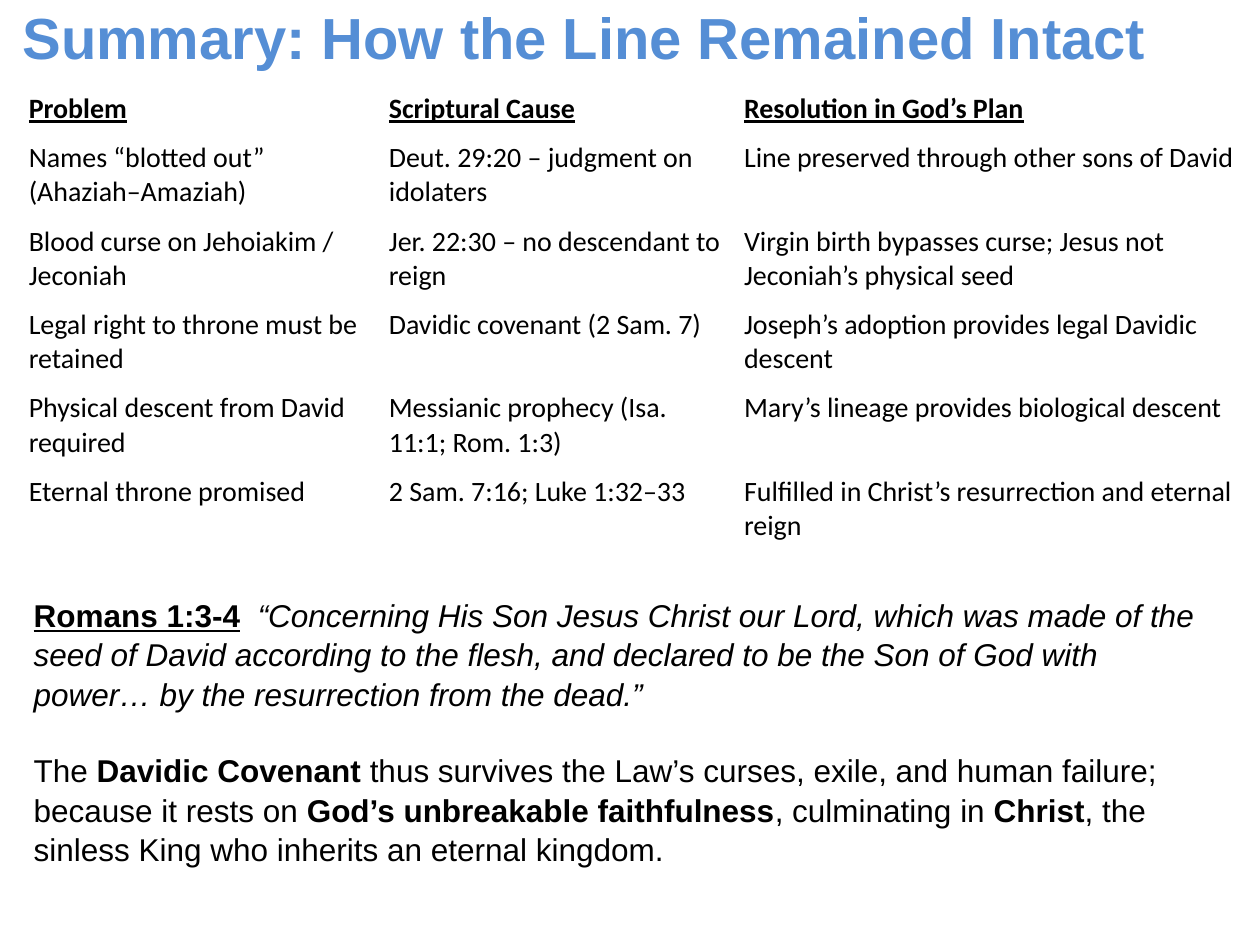
import pptx
import pptx.util
import pptx.dml.color
import pptx.enum.text
from pptx.util import Cm, Pt

COLORS = {"title": "558ED5", "text": "000000"}
ROWS = [
    ("Problem", "Scriptural Cause", "Resolution in God’s Plan"),
    ("Names “blotted out” (Ahaziah–Amaziah)", "Deut. 29:20 – judgment on idolaters",
     "Line preserved through other sons of David"),
    ("Blood curse on Jehoiakim / Jeconiah", "Jer. 22:30 – no descendant to reign",
     "Virgin birth bypasses curse; Jesus not Jeconiah’s physical seed"),
    ("Legal right to throne must be retained", "Davidic covenant (2 Sam. 7)",
     "Joseph’s adoption provides legal Davidic descent"),
    ("Physical descent from David required", "Messianic prophecy (Isa. 11:1; Rom. 1:3)",
     "Mary’s lineage provides biological descent"),
    ("Eternal throne promised", "2 Sam. 7:16; Luke 1:32–33",
     "Fulfilled in Christ’s resurrection and eternal reign"),
]
BOLD, ITALIC = {"bold": True}, {"italic": True}
PARAGRAPHS = [
    [("Romans 1:3-4", {"bold": True, "underline": True}), ("  ", {}),
     ("“Concerning His Son Jesus Christ our Lord, which was made of the seed of David "
      "according to the flesh, and declared to be the Son of God with power… "
      "by the resurrection from the dead.”", ITALIC)],
    [("The ", {}), ("Davidic Covenant", BOLD),
     (" thus survives the Law’s curses, exile, and human failure;", {})],
    [("because it rests on ", {}), ("God’s unbreakable faithfulness", BOLD),
     (", culminating in ", {}), ("Christ", BOLD),
     (", the sinless King who inherits an eternal kingdom.", {})],
]


def add_run(p, text, size=18, font="Arial", color="text", bold=False, italic=False, underline=False):
    """Append a formatted run to a paragraph."""
    r = p.add_run()
    r.text = text
    f = r.font
    f.size, f.name = Pt(size), font
    f.bold, f.italic, f.underline = bold, italic, underline
    f.color.rgb = pptx.dml.color.RGBColor.from_string(COLORS[color])


def add_title(s, text):
    """Place and format the title placeholder."""
    sp = s.shapes.title
    sp.left, sp.top, sp.width, sp.height = Cm(0.2), Cm(0), Cm(25.2), Cm(1.47)
    tf = sp.text_frame
    tf.word_wrap = True
    tf.auto_size = pptx.enum.text.MSO_AUTO_SIZE.NONE
    tf.vertical_anchor = pptx.enum.text.MSO_ANCHOR.MIDDLE
    p = tf.paragraphs[0]
    p.alignment = pptx.enum.text.PP_ALIGN.LEFT
    add_run(p, text, size=33.1, color="title", bold=True)


def add_summary_table(s, rows):
    """Add the unfilled table with an underlined heading row."""
    table = s.shapes.add_table(len(rows), 3, Cm(0.43), Cm(1.7), Cm(24.77), Cm(9.15)).table
    table.first_row = table.horz_banding = False
    for col, width in zip(table.columns, (7.26, 7.16, 10.35)):
        col.width = Cm(width)
    for i, texts in enumerate(rows):
        heading = i == 0
        table.rows[i].height = Cm(0.97 if heading else 1.64)
        for cell, text in zip(table.rows[i].cells, texts):
            cell.fill.background()
            cell.margin_left = cell.margin_right = Cm(0.15)
            cell.margin_top = cell.margin_bottom = Cm(0.15)
            add_run(cell.text_frame.paragraphs[0], text, size=16, font="Calibri",
                    bold=heading, underline=heading)


def add_conclusion(s, paragraphs):
    """Add the verse and the closing statement in one text box."""
    tf = s.shapes.add_textbox(Cm(0.43), Cm(11.86), Cm(24.33), Cm(5.64)).text_frame
    tf.word_wrap = True
    tf.auto_size = pptx.enum.text.MSO_AUTO_SIZE.SHAPE_TO_FIT_TEXT
    for i, runs in enumerate(paragraphs):
        p = tf.add_paragraph() if i else tf.paragraphs[0]
        p.line_spacing = 1.04
        p.space_before = Pt(21.5 if i == 1 else 0)
        for text, style in runs:
            add_run(p, text, **style)


def main():
    """Build and save the slide."""
    prs = pptx.Presentation()
    prs.slide_width, prs.slide_height = Cm(25.4), Cm(19.05)
    s = prs.slides.add_slide(prs.slide_layouts[5])
    add_title(s, "Summary: How the Line Remained Intact")
    add_summary_table(s, ROWS)
    add_conclusion(s, PARAGRAPHS)
    prs.save("out.pptx")


if __name__ == "__main__":
    main()
